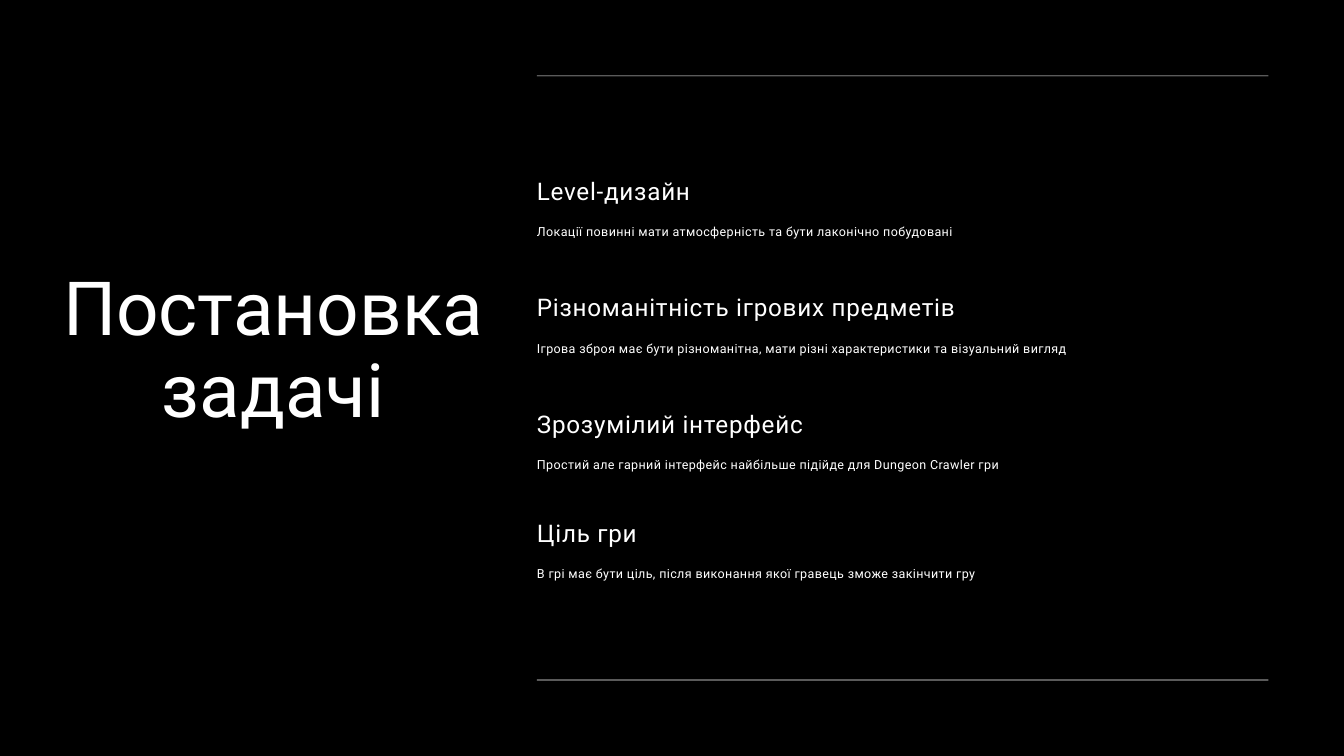
"""Build the task statement slide: a title on the left and four game requirements on the right."""
from pptx import Presentation
from pptx.dml.color import RGBColor
from pptx.enum.shapes import MSO_SHAPE
from pptx.enum.text import PP_ALIGN
from pptx.util import Emu, Pt

PX = 9525
WHITE = "FFFFFF"
COLUMN_LEFT, COLUMN_WIDTH = 767, 1045


def paint(fill, color):
    fill.solid()
    fill.fore_color.rgb = RGBColor.from_string(color)


def add_text(text, left, top, width, height, size, leading, spacing=0, align=PP_ALIGN.LEFT):
    box = slide.shapes.add_textbox(*(Emu(v * PX) for v in (left, top, width, height)))
    frame = box.text_frame
    frame.word_wrap = True
    frame.margin_left = frame.margin_top = frame.margin_right = frame.margin_bottom = 0
    paragraph = frame.paragraphs[0]
    paragraph.alignment = align
    paragraph.line_spacing = Pt(leading)
    run = paragraph.add_run()
    run.text = text
    run.font.name = "Roboto"
    run.font.size = Pt(size)
    paint(run.font.fill, WHITE)
    run._r.get_or_add_rPr().set("spc", str(spacing))


presentation = Presentation()
presentation.slide_width = Emu(1920 * PX)
presentation.slide_height = Emu(1080 * PX)
slide = presentation.slides.add_slide(presentation.slide_layouts[6])
paint(slide.background.fill, "000000")

add_text("Постановка задачі", 61, 383, 659, 243, size=80, leading=88, align=PP_ALIGN.CENTER)

for rule_top in (108, 971):
    rule = slide.shapes.add_shape(
        MSO_SHAPE.RECTANGLE, *(Emu(v * PX) for v in (COLUMN_LEFT, rule_top, COLUMN_WIDTH, 1))
    )
    rule.shadow.inherit = False
    rule.line.fill.background()
    paint(rule.fill, WHITE)

requirements = [
    (245, "Level-дизайн", "Локації повинні мати атмосферність та бути лаконічно побудовані"),
    (411, "Різноманітність ігрових предметів",
     "Ігрова зброя має бути різноманітна, мати різні характеристики та візуальний вигляд"),
    (577, "Зрозумілий інтерфейс",
     "Простий але гарний інтерфейс найбільше підійде для Dungeon Crawler гри"),
    (733, "Ціль гри", "В грі має бути ціль, після виконання якої гравець зможе закінчити гру"),
]
for top, heading, detail in requirements:
    add_text(heading, COLUMN_LEFT, top, COLUMN_WIDTH, 46, size=26, leading=36.4, spacing=80)
    add_text(detail, COLUMN_LEFT, top + 72, COLUMN_WIDTH, 24, size=13.4, leading=18.8, spacing=40)

presentation.save("out.pptx")
